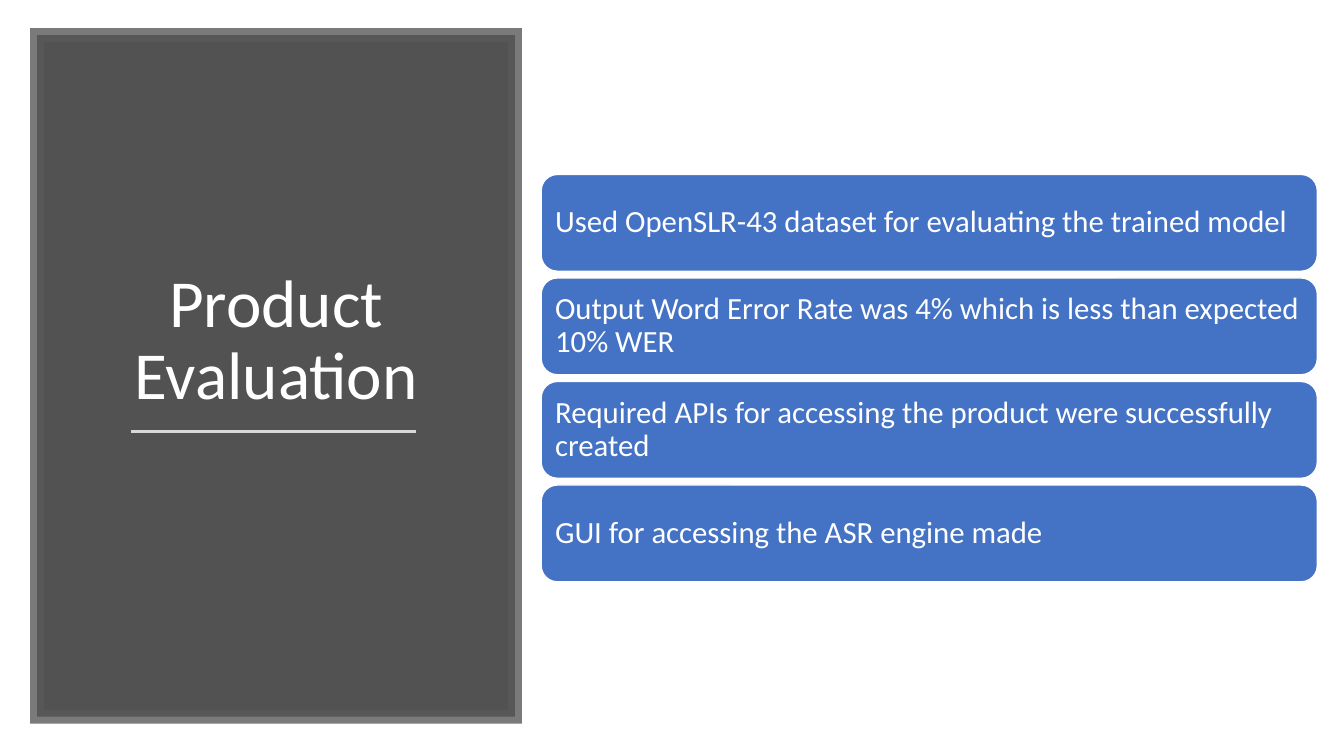
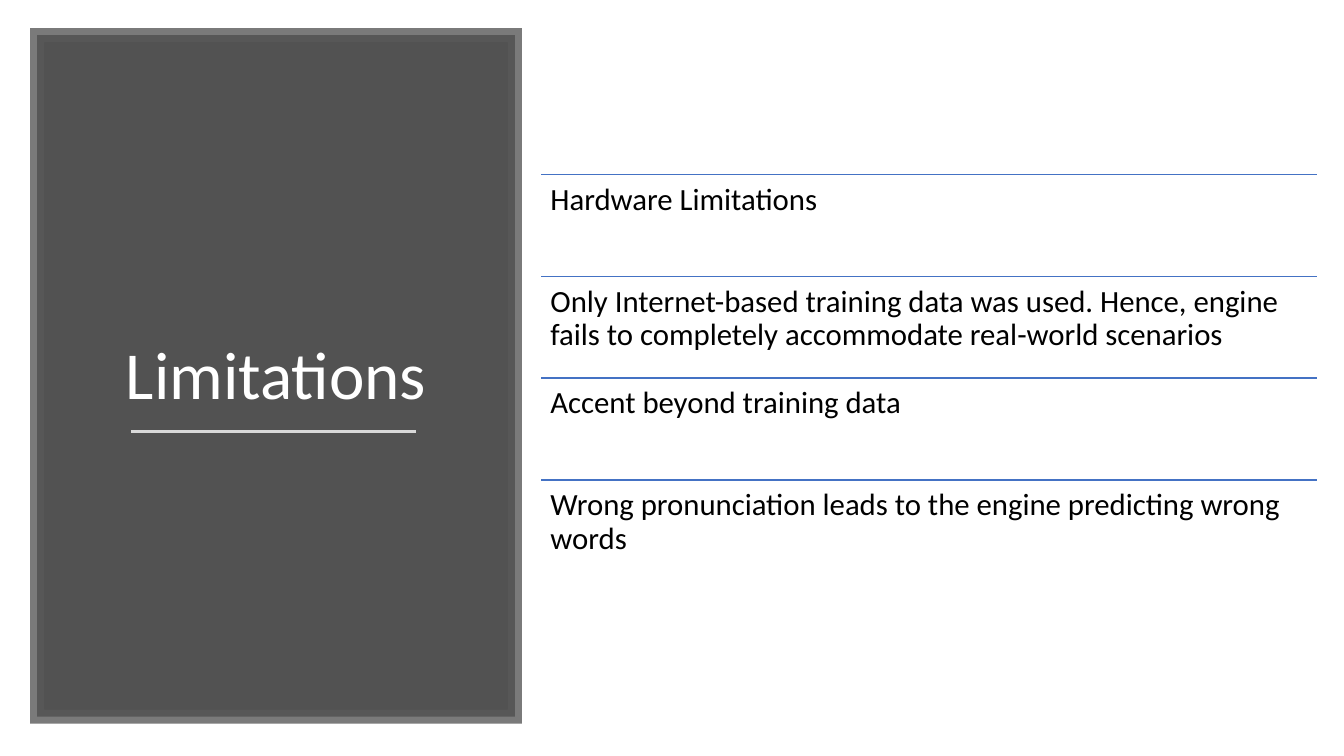
import lxml.etree
import pptx
import pptx.dml.color
import pptx.enum.shapes
import pptx.enum.text
import pptx.oxml.ns
import pptx.util

Pt = pptx.util.Pt
qn = pptx.oxml.ns.qn
SHAPE = pptx.enum.shapes.MSO_SHAPE
ANCHOR = pptx.enum.text.MSO_ANCHOR
ALIGN = pptx.enum.text.PP_ALIGN

COLORS = {
    "panel": "404040",
    "panel_edge": "595959",
    "title_rule": "D9D9D9",
    "accent": "4472C4",
    "white": "FFFFFF",
    "black": "000000",
}
FONT = "Calibri"
TITLE_SIZE, ITEM_SIZE = 48, 22
ITEM_INSET = 6.6
CARD_GAP = 4.8

# Regions as left, top, width, height in points
PANEL = (26.6, 25.2, 341.3, 486.7)
LIST = (386.6, 124.6, 554.4, 291)


def rgb(name):
    return pptx.dml.color.RGBColor.from_string(COLORS[name])


def set_fill(shape, name):
    shape.fill.solid()
    shape.fill.fore_color.rgb = rgb(name)


def set_line(shape, name, width):
    shape.line.color.rgb = rgb(name)
    shape.line.width = Pt(width)


def set_alpha(parent, percent):
    color = parent.find(qn("a:solidFill")).find(qn("a:srgbClr"))
    lxml.etree.SubElement(color, qn("a:alpha")).set("val", str(percent * 1000))


def add_box(s, kind, box):
    sp = s.shapes.add_shape(kind, *map(Pt, box))
    sp.shadow.inherit = False
    return sp


def add_rule(s, x, y, width, color, weight):
    line = s.shapes.add_connector(
        pptx.enum.shapes.MSO_CONNECTOR.STRAIGHT, Pt(x), Pt(y), Pt(x + width), Pt(y))
    set_line(line, color, weight)
    lxml.etree.SubElement(line.element.spPr, qn("a:effectLst"))


def write(tf, text, size, color, align, anchor):
    tf.word_wrap = True
    tf.auto_size = pptx.enum.text.MSO_AUTO_SIZE.NONE
    tf.vertical_anchor = anchor
    p = tf.paragraphs[0]
    p.alignment = align
    p.line_spacing = 0.9
    r = p.add_run()
    r.text = text
    r.font.name = FONT
    r.font.size = Pt(size)
    r.font.color.rgb = rgb(color)


def write_item(sp, text, color, anchor):
    tf = sp.text_frame
    tf.margin_left = tf.margin_right = Pt(ITEM_INSET)
    tf.margin_top = tf.margin_bottom = Pt(ITEM_INSET)
    write(tf, text, ITEM_SIZE, color, ALIGN.LEFT, anchor)


def add_title_panel(s, title, box):
    x, y, width, height = box

    # Translucent panel with a square-cornered frame
    panel = add_box(s, SHAPE.RECTANGLE, box)
    set_fill(panel, "panel")
    set_alpha(panel.element.spPr, 90)
    set_line(panel, "panel_edge", 10)
    ln = panel.element.spPr.find(qn("a:ln"))
    set_alpha(ln, 80)
    lxml.etree.SubElement(ln, qn("a:miter")).set("lim", "800000")

    # Title, in front of the panel
    sp = s.shapes.title
    sp.left, sp.top = Pt(x + 26.7), Pt(y + 46.8)
    sp.width, sp.height = Pt(288), Pt(227.5)
    write(sp.text_frame, title, TITLE_SIZE, "white", ALIGN.CENTER, ANCHOR.BOTTOM)
    sp.element.addprevious(panel.element)

    # Rule under the title
    add_rule(s, x + 67, y + 283, 203.8, "title_rule", 1.75)


def add_cards(s, items, box):
    x, y, width, height = box
    card_height = (height - CARD_GAP * (len(items) - 1)) / len(items)
    for i, text in enumerate(items):
        top = y + i * (card_height + CARD_GAP)
        card = add_box(s, SHAPE.ROUNDED_RECTANGLE, (x, top, width, card_height))
        set_fill(card, "accent")
        set_line(card, "white", 1)
        write_item(card, text, "white", ANCHOR.MIDDLE)


def add_ruled_list(s, items, box):
    x, y, width, height = box
    row_height = height / len(items)
    for i, text in enumerate(items):
        top = y + i * row_height
        add_rule(s, x, top, width, "accent", 1)
        row = s.shapes.add_textbox(*map(Pt, (x, top, width, row_height)))
        write_item(row, text, "black", ANCHOR.TOP)


def add_slide(prs, title, items, add_list):
    s = prs.slides.add_slide(prs.slide_layouts.get_by_name("Title Only"))
    add_title_panel(s, title, PANEL)
    add_list(s, items, LIST)


def main():
    prs = pptx.Presentation()
    prs.slide_width, prs.slide_height = Pt(960), Pt(540)

    add_slide(prs, "Product Evaluation", [
        "Used OpenSLR-43 dataset for evaluating the trained model",
        "Output Word Error Rate was 4% which is less than expected 10% WER",
        "Required APIs for accessing the product were successfully created",
        "GUI for accessing the ASR engine made",
    ], add_cards)

    add_slide(prs, "Limitations", [
        "Hardware Limitations",
        "Only Internet-based training data was used. Hence, engine fails to "
        "completely accommodate real-world scenarios",
        "Accent beyond training data",
        "Wrong pronunciation leads to the engine predicting wrong words",
    ], add_ruled_list)

    prs.save("out.pptx")


if __name__ == "__main__":
    main()
